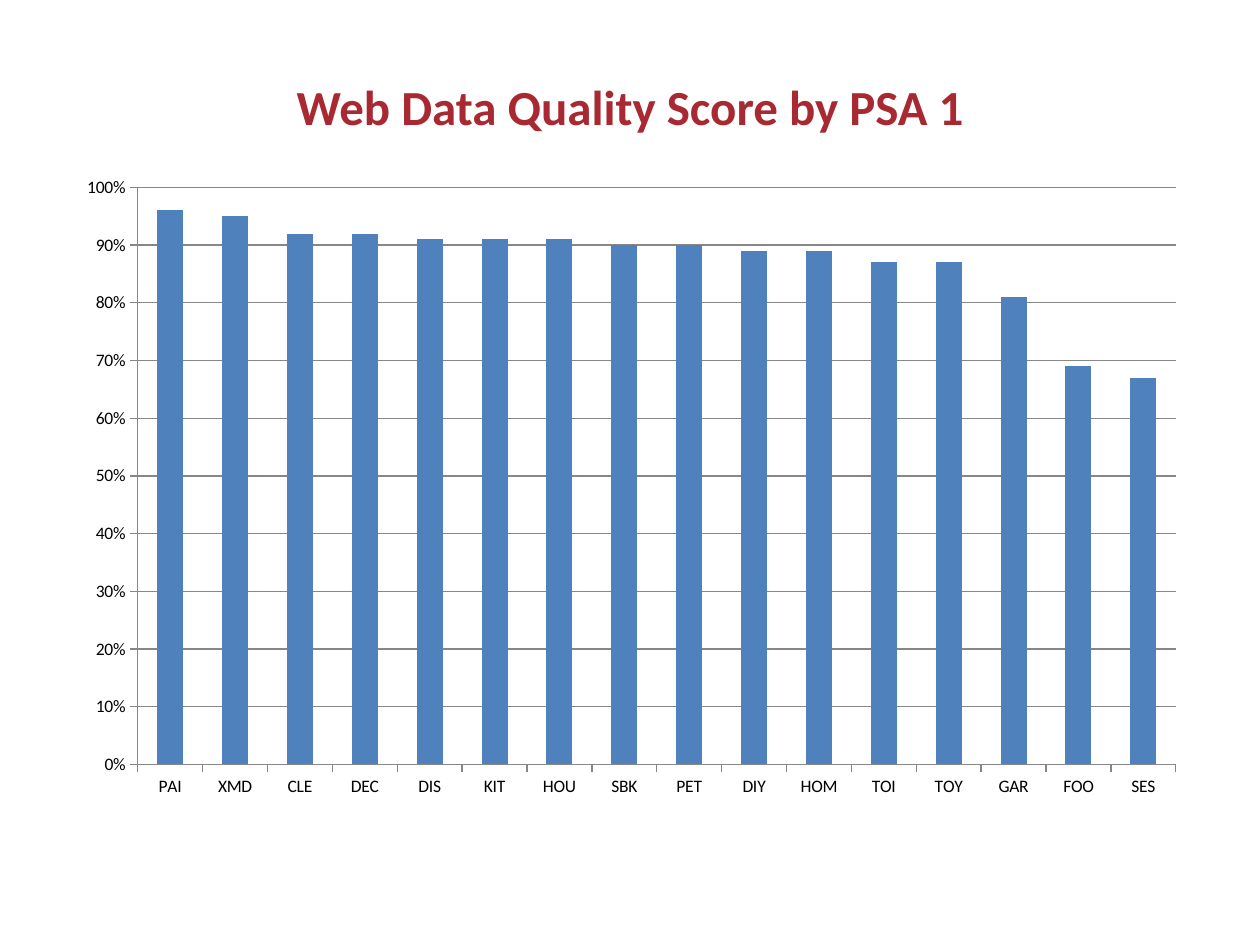
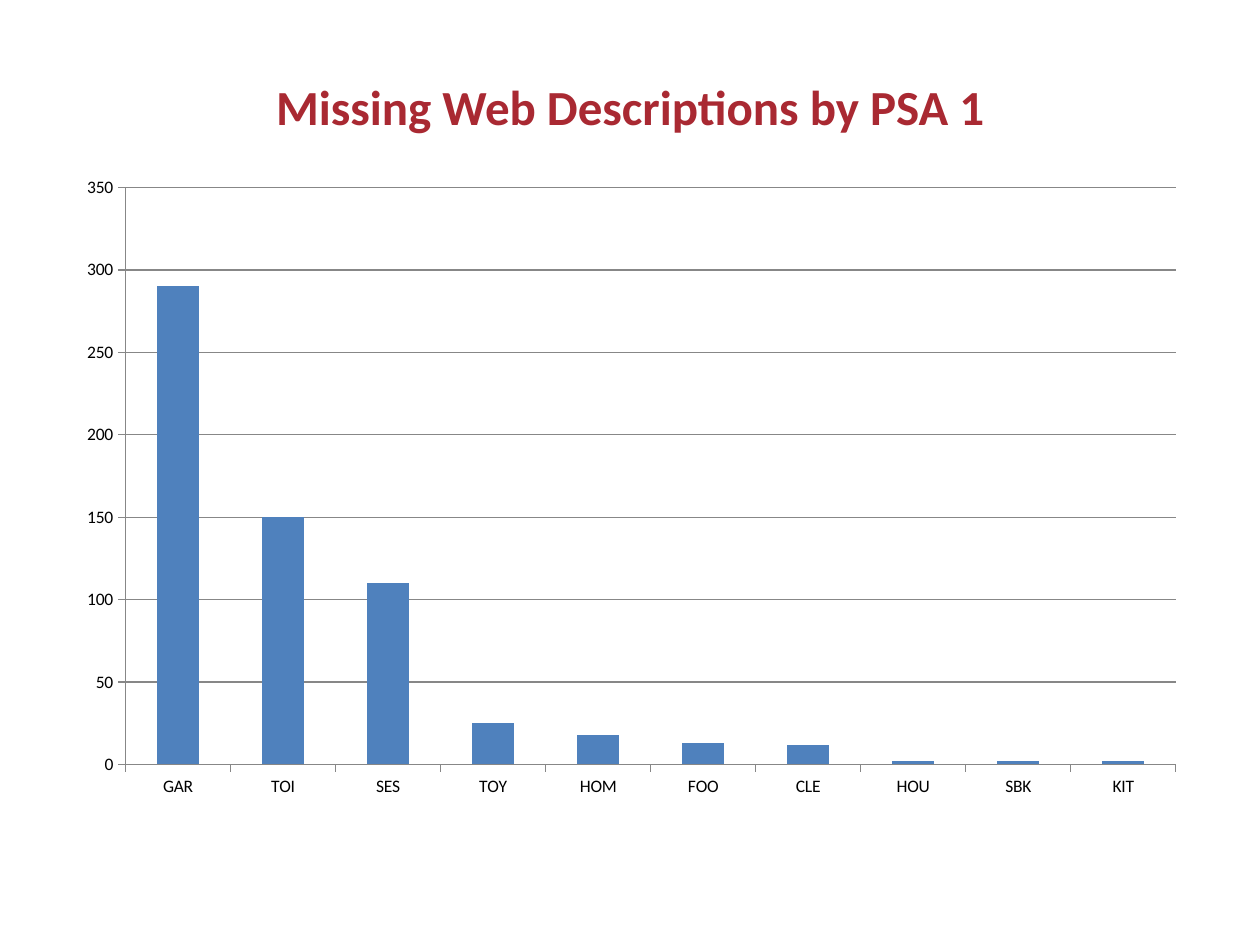
import pptx
import pptx.chart.data
import pptx.dml.color
import pptx.enum.chart
import pptx.enum.text
import pptx.util
from pptx.util import Cm

RED = pptx.dml.color.RGBColor(0xA9, 0x29, 0x32)
BLUE = pptx.dml.color.RGBColor(0x4F, 0x81, 0xBD)
GRAY = pptx.dml.color.RGBColor(0x87, 0x87, 0x87)
BLACK = pptx.dml.color.RGBColor(0, 0, 0)

TITLE_FONT = {"name": "Calibri", "size": pptx.util.Pt(28), "bold": True}
CHART_FONT = {"name": "Calibri", "size": pptx.util.Pt(10), "bold": False}
TITLE_FRAME = {
    "word_wrap": True,
    "vertical_anchor": pptx.enum.text.MSO_ANCHOR.MIDDLE,
}
AXIS_FORMAT = {
    "major_tick_mark": pptx.enum.chart.XL_TICK_MARK.OUTSIDE,
    "minor_tick_mark": pptx.enum.chart.XL_TICK_MARK.NONE,
}

CHARTS = [
    {
        "title": "Web Data Quality Score by PSA 1",
        "values": {
            "PAI": 0.96, "XMD": 0.95, "CLE": 0.92, "DEC": 0.92,
            "DIS": 0.91, "KIT": 0.91, "HOU": 0.91, "SBK": 0.9,
            "PET": 0.9, "DIY": 0.89, "HOM": 0.89, "TOI": 0.87,
            "TOY": 0.87, "GAR": 0.81, "FOO": 0.69, "SES": 0.67,
        },
        "number_format": "0%",
        "scale": {"minimum_scale": 0, "maximum_scale": 1, "major_unit": 0.1},
    },
    {
        "title": "Missing Web Descriptions by PSA 1",
        "values": {
            "GAR": 290, "TOI": 150, "SES": 110, "TOY": 25, "HOM": 18,
            "FOO": 13, "CLE": 12, "HOU": 2, "SBK": 2, "KIT": 2,
        },
        "number_format": "General",
        "scale": {"minimum_scale": 0, "maximum_scale": 350, "major_unit": 50},
    },
]


def apply_format(target, values):
    for name, value in values.items():
        setattr(target, name, value)


presentation = pptx.Presentation()
presentation.slide_width = Cm(25.4)
presentation.slide_height = Cm(19.05)

for content in CHARTS:
    slide = presentation.slides.add_slide(presentation.slide_layouts[6])

    title = slide.shapes.add_textbox(Cm(1.27), Cm(1.13), Cm(22.86), Cm(2))
    apply_format(title.text_frame, TITLE_FRAME)
    paragraph = title.text_frame.paragraphs[0]
    paragraph.alignment = pptx.enum.text.PP_ALIGN.CENTER
    run = paragraph.add_run()
    run.text = content["title"]
    apply_format(run.font, TITLE_FONT)
    run.font.color.rgb = RED

    chart_data = pptx.chart.data.CategoryChartData(content["number_format"])
    chart_data.categories = list(content["values"])
    chart_data.add_series("Series 1", list(content["values"].values()))
    chart = slide.shapes.add_chart(
        pptx.enum.chart.XL_CHART_TYPE.COLUMN_CLUSTERED,
        Cm(1.3), Cm(3.32), Cm(22.86), Cm(13), chart_data,
    ).chart
    apply_format(chart, {"has_legend": False, "has_title": False})
    apply_format(chart.font, CHART_FONT)
    chart.font.color.rgb = BLACK

    plot = chart.plots[0]
    apply_format(plot, {"gap_width": 150, "vary_by_categories": False})
    fill = plot.series[0].format.fill
    fill.solid()
    fill.fore_color.rgb = BLUE

    value_axis = chart.value_axis
    apply_format(value_axis, content["scale"])
    value_axis.has_major_gridlines = True
    labels = value_axis.tick_labels
    labels.number_format = content["number_format"]
    labels.number_format_is_linked = False
    for axis in (chart.category_axis, value_axis):
        apply_format(axis, AXIS_FORMAT)
    for lines in (chart.category_axis, value_axis, value_axis.major_gridlines):
        lines.format.line.color.rgb = GRAY
        lines.format.line.width = pptx.util.Pt(0.75)

presentation.save("out.pptx")
